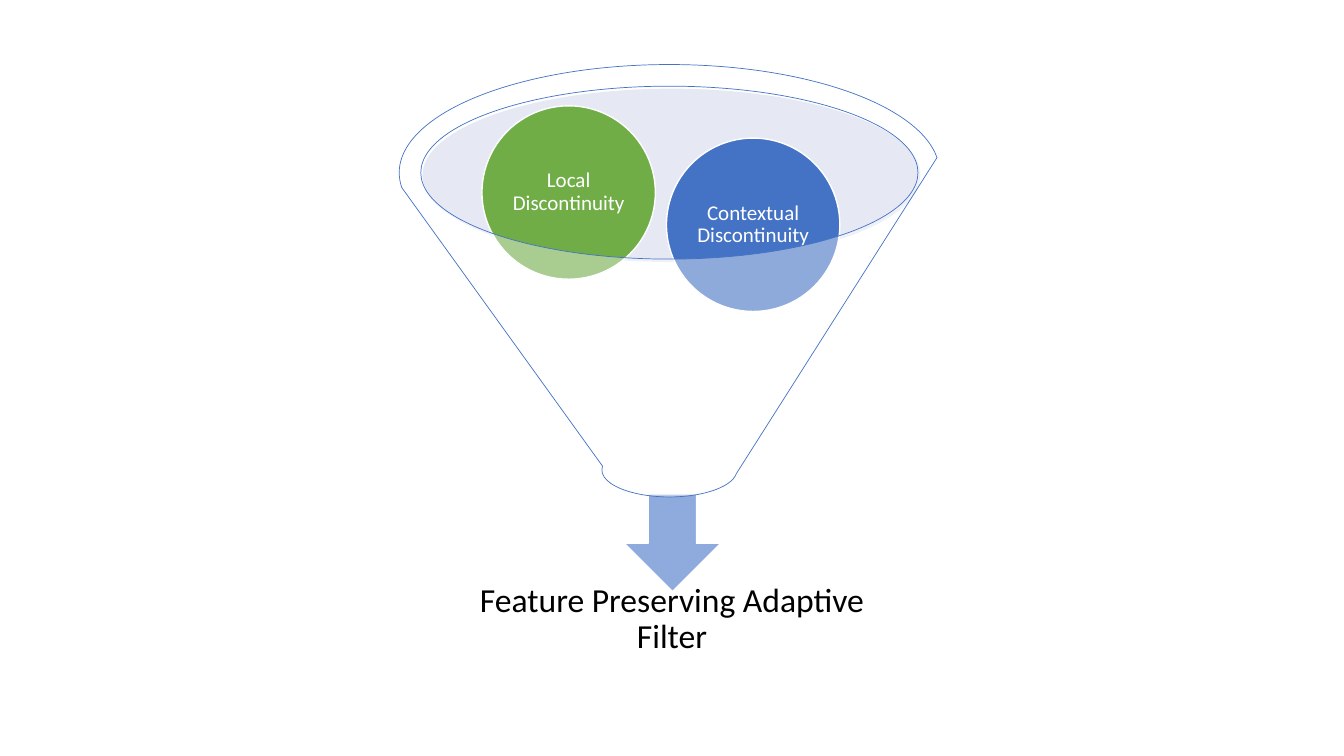
from lxml import etree
from pptx import Presentation, util as u
from pptx.dml.color import RGBColor
from pptx.enum import shapes, text
from pptx.oxml.ns import qn

# Content: label, left, top, colour
BALLS = [
    ("Contextual Discontinuity", 6.61, 1.37, "blue"),
    ("Local Discontinuity", 4.78, 1.05, "green"),
]
RESULT = "Feature Preserving Adaptive Filter"

FONT = "Calibri"
COLORS = {
    "blue": "4472C4", "green": "70AD47", "arrow": "8FAADC",
    "mouth": "C1C9E4", "white": "FFFFFF", "black": "000000",
}
BALL = 1.72
KINDS = shapes.MSO_SHAPE

deck = Presentation()
deck.slide_width, deck.slide_height = u.Inches(13.33), u.Inches(7.5)
slide = deck.slides.add_slide(deck.slide_layouts[6])


def color(name):
    return RGBColor.from_string(COLORS[name])


def draw(kind, box, fill, line=None, width=1, alpha=None):
    shape = slide.shapes.add_shape(kind, *map(u.Inches, box))
    shape.shadow.inherit = False
    shape.fill.solid()
    shape.fill.fore_color.rgb = color(fill)
    if alpha:
        tint = shape.fill._xPr.find(qn("a:solidFill"))[0]
        etree.SubElement(tint, qn("a:alpha")).set("val", str(alpha * 1000))
    if line:
        shape.line.color.rgb = color(line)
        shape.line.width = u.Pt(width)
    else:
        shape.line.fill.background()
    return shape


def write(shape, words, size, ink, inset):
    frame = shape.text_frame
    frame.text = words
    frame.word_wrap = True
    frame.vertical_anchor = text.MSO_ANCHOR.MIDDLE
    frame.margin_left = frame.margin_right = u.Inches(inset)
    frame.margin_top = frame.margin_bottom = u.Inches(inset)
    para = frame.paragraphs[0]
    para.alignment = text.PP_ALIGN.CENTER
    para.line_spacing = 0.9
    font = para.runs[0].font
    font.name, font.size = FONT, u.Pt(size)
    font.color.rgb = color(ink)


# Funnel mouth and outlet arrow
draw(KINDS.OVAL, (4.19, 0.88, 4.94, 1.72), "mouth", alpha=40)
draw(KINDS.DOWN_ARROW, (6.19, 4.9, 0.96, 0.97), "arrow", "white")

# Result below the arrow
label = slide.shapes.add_textbox(*map(u.Inches, (4.37, 5.57, 4.59, 1.15)))
write(label, RESULT, 24, "black", 0.19)

# Balls dropping into the funnel
for words, left, top, fill in BALLS:
    ball = draw(KINDS.OVAL, (left, top, BALL, BALL), fill, "white")
    write(ball, words, 15, "white", 0.02)

# Translucent funnel in front
draw(KINDS.FUNNEL, (3.96, 0.64, 5.36, 4.29), "white", "blue", 0.5, alpha=40)

deck.save("out.pptx")
